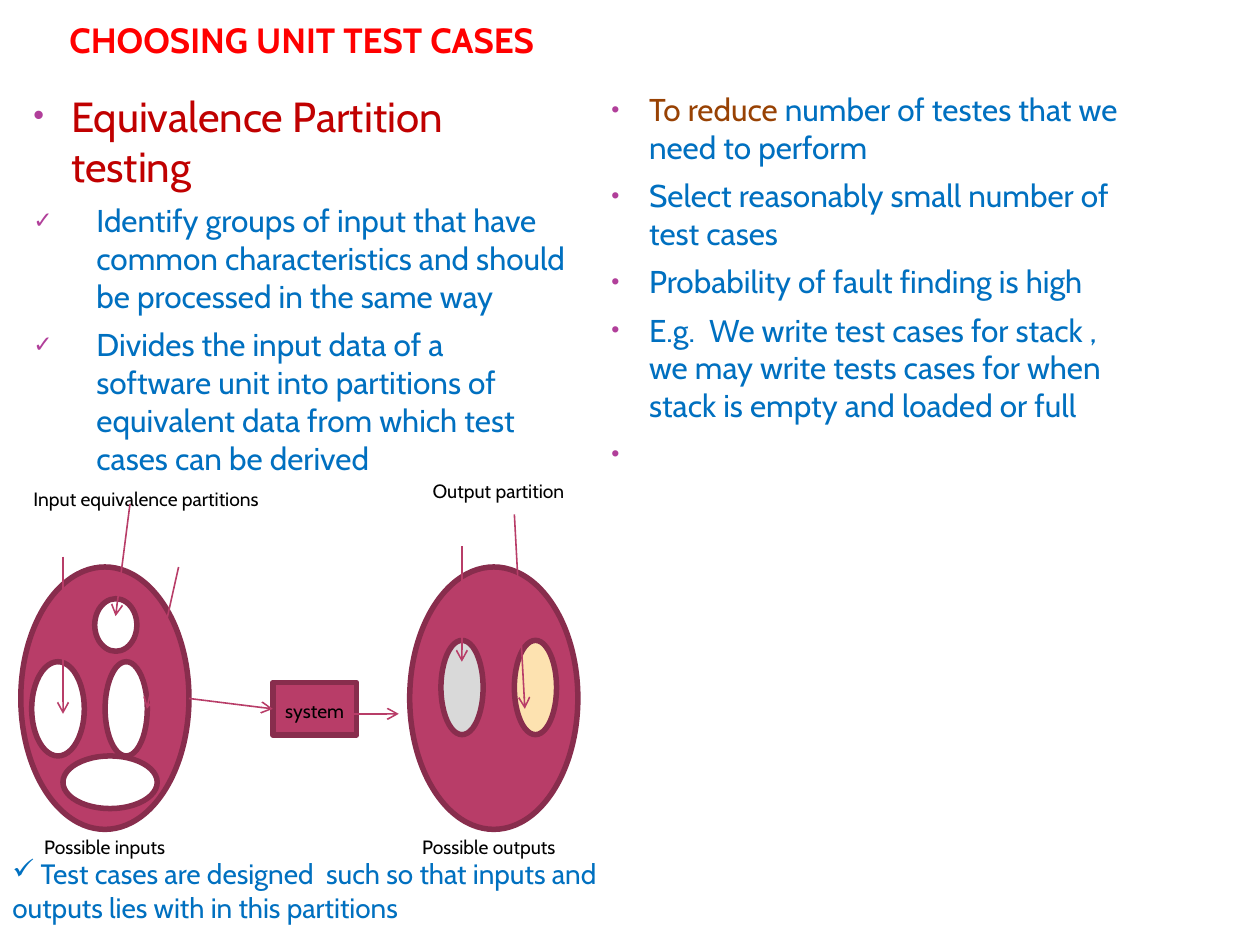
from lxml import etree
from pptx import Presentation
from pptx.dml.color import RGBColor
from pptx.enum.shapes import MSO_CONNECTOR, MSO_SHAPE
from pptx.enum.text import MSO_ANCHOR, MSO_AUTO_SIZE, PP_ALIGN
from pptx.oxml.ns import qn
from pptx.util import Cm, Pt

OVAL, RECT = MSO_SHAPE.OVAL, MSO_SHAPE.RECTANGLE
LINE = MSO_CONNECTOR.STRAIGHT
LEFT = PP_ALIGN.LEFT
NONE, GROW = MSO_AUTO_SIZE.NONE, MSO_AUTO_SIZE.SHAPE_TO_FIT_TEXT
TOP, BOTTOM = MSO_ANCHOR.TOP, MSO_ANCHOR.BOTTOM
FONT = "Cabin"
BLUE, BLACK, PINK, PLUM = "0070C0", "000000", "B83D68", "882D4D"
BUL = "B13F9A"

# Content: text, size, colour, bullet, indent in cm
TITLE = "CHOOSING UNIT TEST CASES"
METHOD = [
    ("Equivalence Partition testing", 24, "C00000", "•", 0.76),
    ("Identify groups of input that have common characteristics and should "
     "be processed in the same way", 18, BLUE, "✓", 1.27),
    ("Divides the input data of a software unit into partitions of equivalent "
     "data from which test cases can be derived", 18, BLUE, "✓", 1.27),
    ("Input equivalence partitions", 11, BLACK, None, 1.27),
]
REASONS = [
    [("To reduce ", "984204"), ("number of testes that we need to perform", BLUE)],
    "Select reasonably small number of test cases",
    "Probability of fault finding is high",
    "E.g.  We write test cases for stack , we may write tests cases for when "
    "stack is empty and loaded or full",
    " ",
]
NOTE = (" Test cases are designed  such so that inputs and outputs lies "
        "with in this partitions")

# Places in cm: left, top, width, height
SETS = [(0.42, 11.43, 3.39, 5.29), (8.26, 11.43, 3.39, 5.29)]
SYSTEM = (5.5, 13.76, 1.69, 1.06)
PARTS = [
    (1.91, 12.07, 0.85, 1.06, "FFFFFF"),
    (0.64, 13.34, 1.06, 1.9, "FFFFFF"),
    (2.12, 13.34, 0.85, 1.9, "FFFFFF"),
    (1.27, 15.24, 1.9, 1.06, "FFFFFF"),
    (10.37, 12.91, 0.85, 1.9, "FDE2B0"),
    (8.89, 12.91, 0.85, 1.9, "D9D9D9"),
]
# Arrows: x and y of the start, then of the tip
FLOW = [(3.81, 14.08, 5.5, 14.29), (6.99, 14.39, 8.04, 14.39)]
POINTERS = [
    (1.27, 11.22, 1.27, 14.39),
    (2.62, 10.16, 2.33, 12.42),
    (3.6, 11.43, 2.96, 14.29),
    (9.31, 11.01, 9.31, 13.34),
    (10.37, 10.37, 10.58, 14.29),
]
LABELS = [
    ("Possible inputs", 0.64, 16.72, 3.12),
    ("Possible outputs", 8.26, 16.72, 3.39),
    ("system", 5.5, 13.97, 1.73),
    ("Output partition", 8.47, 9.53, 3.39),
]


def rgb(code):
    return RGBColor.from_string(code)


def place(shape, left, top, width, height):
    shape.left, shape.top = Cm(left), Cm(top)
    shape.width, shape.height = Cm(width), Cm(height)


def mark(para, char, color=None, pct=None, indent=0):
    props = para._p.get_or_add_pPr()
    props.set("marL", str(Cm(indent)))
    props.set("indent", str(-Cm(indent)))
    if not char:
        etree.SubElement(props, qn("a:buNone"))
        return
    if color:
        tint = etree.SubElement(props, qn("a:buClr"))
        etree.SubElement(tint, qn("a:srgbClr"), val=color)
    if pct:
        etree.SubElement(props, qn("a:buSzPct"), val=str(pct * 1000))
    etree.SubElement(props, qn("a:buChar"), char=char)


def write(para, text, size=11, color=BLACK, bold=False, before=0):
    """Add text, or (text, colour) pieces, to a paragraph."""
    para.alignment = LEFT
    para.space_before = Pt(before)
    pieces = [(text, color)] if isinstance(text, str) else text
    for words, tone in pieces:
        run = para.add_run()
        run.text = words
        run.font.name, run.font.size, run.font.bold = FONT, Pt(size), bold
        run.font.color.rgb = rgb(tone)


def fill_body(body, rows, box):
    place(body, *box)
    frame = body.text_frame
    frame.auto_size, frame.vertical_anchor = NONE, TOP
    for i, (text, size, color, char, indent) in enumerate(rows):
        para = frame.add_paragraph() if i else frame.paragraphs[0]
        mark(para, char, BUL, 73, indent)
        write(para, text, size, color, before=6 if i else 0)


def draw(kind, box, fill=PINK):
    shape = shapes.add_shape(kind, *[Cm(v) for v in box])
    shape.shadow.inherit = False
    shape.fill.solid()
    shape.fill.fore_color.rgb = rgb(fill)
    shape.line.color.rgb = rgb(PLUM)
    shape.line.width = Pt(3.15)
    return shape


def arrow(ends):
    link = shapes.add_connector(LINE, *[Cm(v) for v in ends])
    link.line.color.rgb = rgb(PINK)
    link.line.width = Pt(0.9)
    etree.SubElement(link.line._get_or_add_ln(), qn("a:tailEnd"), type="arrow")
    etree.SubElement(link._element.spPr, qn("a:effectLst"))
    return link


def label(left, top, width, height, wrap=False):
    box = shapes.add_textbox(Cm(left), Cm(top), Cm(width), Cm(height))
    box.text_frame.word_wrap = wrap
    box.text_frame.auto_size = GROW
    return box.text_frame.paragraphs[0]


# Slide, title and the two columns
prs = Presentation()
prs.slide_width, prs.slide_height = Cm(25.4), Cm(19.05)
slide = prs.slides.add_slide(prs.slide_layouts[3])
shapes = slide.shapes
head, left, right = slide.placeholders
place(head, 1.27, 0, 20.12, 1.22)
frame = head.text_frame
frame.auto_size, frame.vertical_anchor = NONE, BOTTOM
frame.margin_left = frame.margin_right = Cm(0.13)
frame.margin_top = frame.margin_bottom = 0
write(frame.paragraphs[0], TITLE, 20, "FF0000", bold=True)
fill_body(left, METHOD, (0.42, 1.69, 11.23, 16.72))
fill_body(right, [(t, 18, BLUE, "•", 0.76) for t in REASONS],
          (12.07, 1.69, 10.82, 17.36))

# Diagram: sets, system, partitions and arrows
for box in SETS:
    draw(OVAL, box)
system = draw(RECT, SYSTEM)
enter, leave = [arrow(ends) for ends in FLOW]
enter.end_connect(system, 1)
for *box, fill in PARTS:
    draw(OVAL, box, fill)
for ends in POINTERS:
    arrow(ends)

# Labels and closing note
for text, x, y, width in LABELS:
    write(label(x, y, width, 0.74), text)
note = label(0, 17.15, 12.52, 1.63, wrap=True)
mark(note, "✓")
write(note, NOTE, 16, BLUE)

prs.save("out.pptx")
